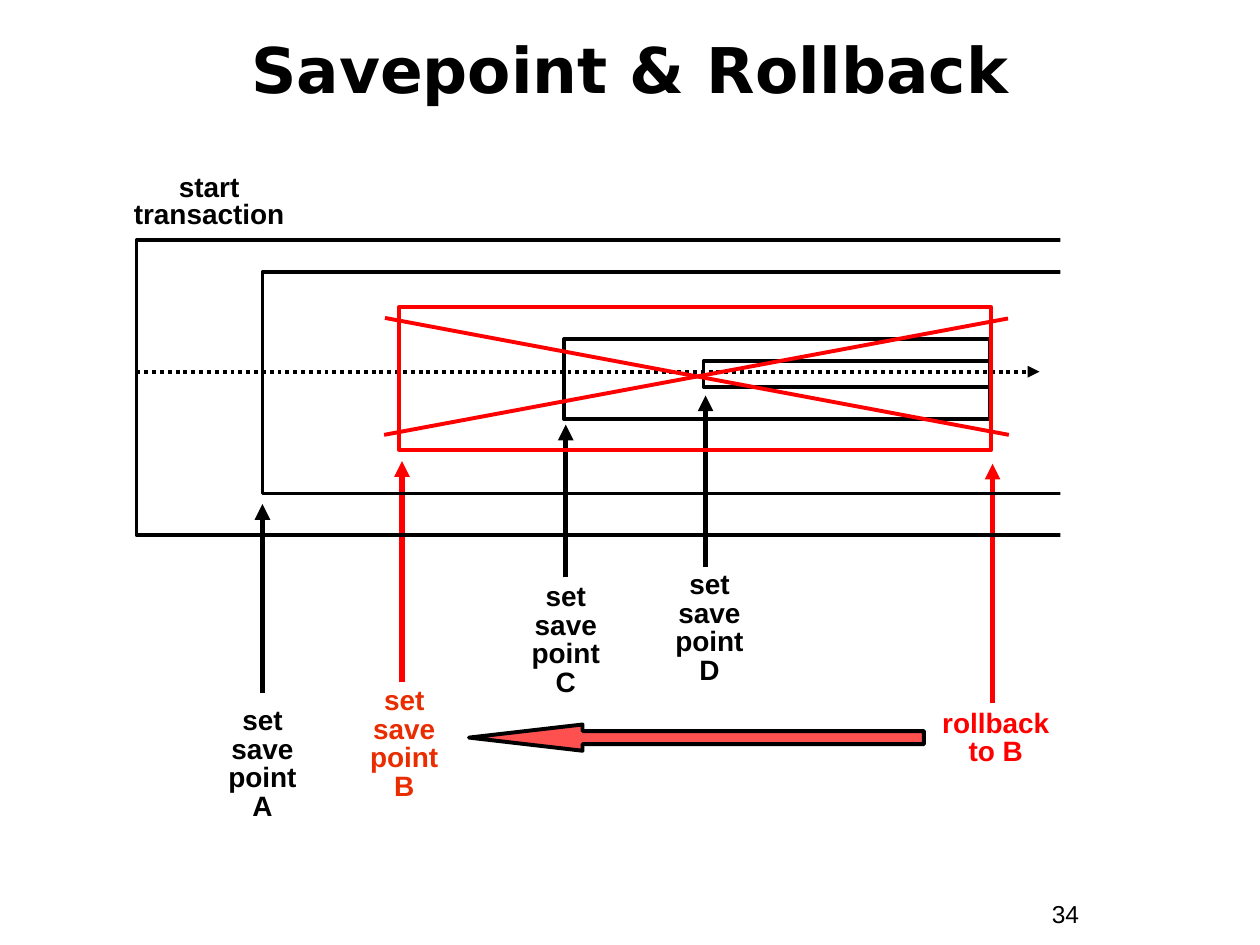
"""Build the slide on savepoints and rollback in a nested transaction."""
from dataclasses import dataclass

import pptx
import pptx.dml.color
import pptx.enum.dml
import pptx.enum.shapes
import pptx.enum.text
import pptx.oxml.ns
import pptx.oxml.xmlchemy
import pptx.util
from lxml import etree

Pt = pptx.util.Pt
SHAPE = pptx.enum.shapes.MSO_SHAPE
ALIGN = pptx.enum.text.PP_ALIGN
ANCHOR = pptx.enum.text.MSO_ANCHOR
qn = pptx.oxml.ns.qn

BLACK, RED, ORANGE, CORAL, WHITE = "000000", "FF0000", "EA2D00", "FF5050", "FFFFFF"


@dataclass
class Box:
    left: float
    top: float
    width: float
    height: float


@dataclass
class Frame:
    box: Box
    color: str = BLACK


@dataclass
class Line:
    x1: float
    y1: float
    x2: float
    y2: float
    color: str = BLACK
    weight: float = 2.25
    arrow: bool = True
    dotted: bool = False


@dataclass
class Label:
    lines: list[str]
    box: Box
    color: str = BLACK
    size: float = 16
    font: str = "Arial"
    bold: bool = True
    align: ALIGN = ALIGN.CENTER
    anchor: ANCHOR = ANCHOR.TOP
    spacing: float = 0.85


@dataclass
class Event:
    label: Label
    x: float
    start: float
    tip: float
    color: str = BLACK


def rgb(color: str) -> pptx.dml.color.RGBColor:
    return pptx.dml.color.RGBColor.from_string(color)


def place(box: Box) -> tuple:
    return Pt(box.left), Pt(box.top), Pt(box.width), Pt(box.height)


def draw_shape(s, kind: SHAPE, box: Box, fill: str | None, line: str | None):
    sp = s.shapes.add_shape(kind, *place(box))
    sp.shadow.inherit = False
    if fill:
        sp.fill.solid()
        sp.fill.fore_color.rgb = rgb(fill)
    else:
        sp.fill.background()
    if line:
        sp.line.color.rgb = rgb(line)
        sp.line.width = Pt(2.25)
    else:
        sp.line.fill.background()
    return sp


def draw_line(s, line: Line) -> None:
    sp = s.shapes.add_connector(
        pptx.enum.shapes.MSO_CONNECTOR.STRAIGHT,
        Pt(line.x1), Pt(line.y1), Pt(line.x2), Pt(line.y2))
    sp.line.color.rgb = rgb(line.color)
    sp.line.width = Pt(line.weight)
    if line.dotted:
        sp.line.dash_style = pptx.enum.dml.MSO_LINE.ROUND_DOT
    props = sp._element.spPr
    if line.arrow:
        etree.SubElement(props.find(qn("a:ln")), qn("a:tailEnd"), type="triangle")
    etree.SubElement(props, qn("a:effectLst"))


def draw_label(s, label: Label) -> None:
    tf = s.shapes.add_textbox(*place(label.box)).text_frame
    tf.word_wrap = True
    tf.vertical_anchor = label.anchor
    tf.text = "\n".join(label.lines)
    for p in tf.paragraphs:
        p.alignment = label.align
        p.line_spacing = label.spacing
        for r in p.runs:
            r.font.name = label.font
            r.font.size = Pt(label.size)
            r.font.bold = label.bold
            r.font.color.rgb = rgb(label.color)


def savepoint(name: str, box: Box, color: str = BLACK) -> Label:
    return Label(["set", "save", "point", name], box, color)


LABELS = [
    Label(["Savepoint & Rollback"], Box(24, 6, 672, 66), size=36, font="DejaVu Sans",
          anchor=ANCHOR.MIDDLE, spacing=1),
    Label(["start", "transaction"], Box(66, 97, 107, 38), spacing=0.8),
    Label(["34"], Box(594, 510, 66, 24), size=14, bold=False, align=ALIGN.LEFT, spacing=1),
]
EVENTS = [
    Event(savepoint("A", Box(111, 401, 78, 73)), 150, 396, 288),
    Event(savepoint("B", Box(192, 389.5, 78, 73), ORANGE), 229.7, 390, 263.5, RED),
    Event(savepoint("C", Box(295.2, 330, 56.2, 73)), 323.3, 330, 242.6),
    Event(savepoint("D", Box(377.3, 323.3, 56.2, 73)), 403.2, 324, 226),
    Event(Label(["rollback", "to B"], Box(512, 402.5, 114, 40), RED), 567.2, 402, 265, RED),
]
FRAMES = [
    Frame(Box(402, 206.5, 164, 14.5)),
    Frame(Box(78, 137.3, 564, 168.5)),
    Frame(Box(322.5, 193.7, 243.5, 46)),
    Frame(Box(228, 175.5, 338.5, 81.5), RED),
    Frame(Box(150, 155.5, 498, 126.5)),
]
TIMELINE = Line(78, 212.4, 594, 212.4, dotted=True)
CROSS = [
    Line(219.5, 248.5, 576, 182, RED, arrow=False),
    Line(576.5, 248.5, 220, 181.7, RED, arrow=False),
]


def main() -> None:
    prs = pptx.Presentation()
    prs.slide_width, prs.slide_height = Pt(720), Pt(540)
    s = prs.slides.add_slide(prs.slide_layouts[6])

    draw_line(s, TIMELINE)
    for label in LABELS:
        draw_label(s, label)
    for event in EVENTS:
        draw_label(s, event.label)
        draw_line(s, Line(event.x, event.start, event.x, event.tip, event.color, 3))

    back = draw_shape(s, SHAPE.LEFT_ARROW, Box(268, 414, 260, 15), CORAL, BLACK)
    back.adjustments[0] = 0.5
    back.adjustments[1] = 4.33
    for frame in FRAMES:
        draw_shape(s, SHAPE.RECTANGLE, frame.box, None, frame.color)
    for line in CROSS:
        draw_line(s, line)
    draw_shape(s, SHAPE.RECTANGLE, Box(606, 130, 60, 188), WHITE, None)

    prs.save("out.pptx")


if __name__ == "__main__":
    main()
